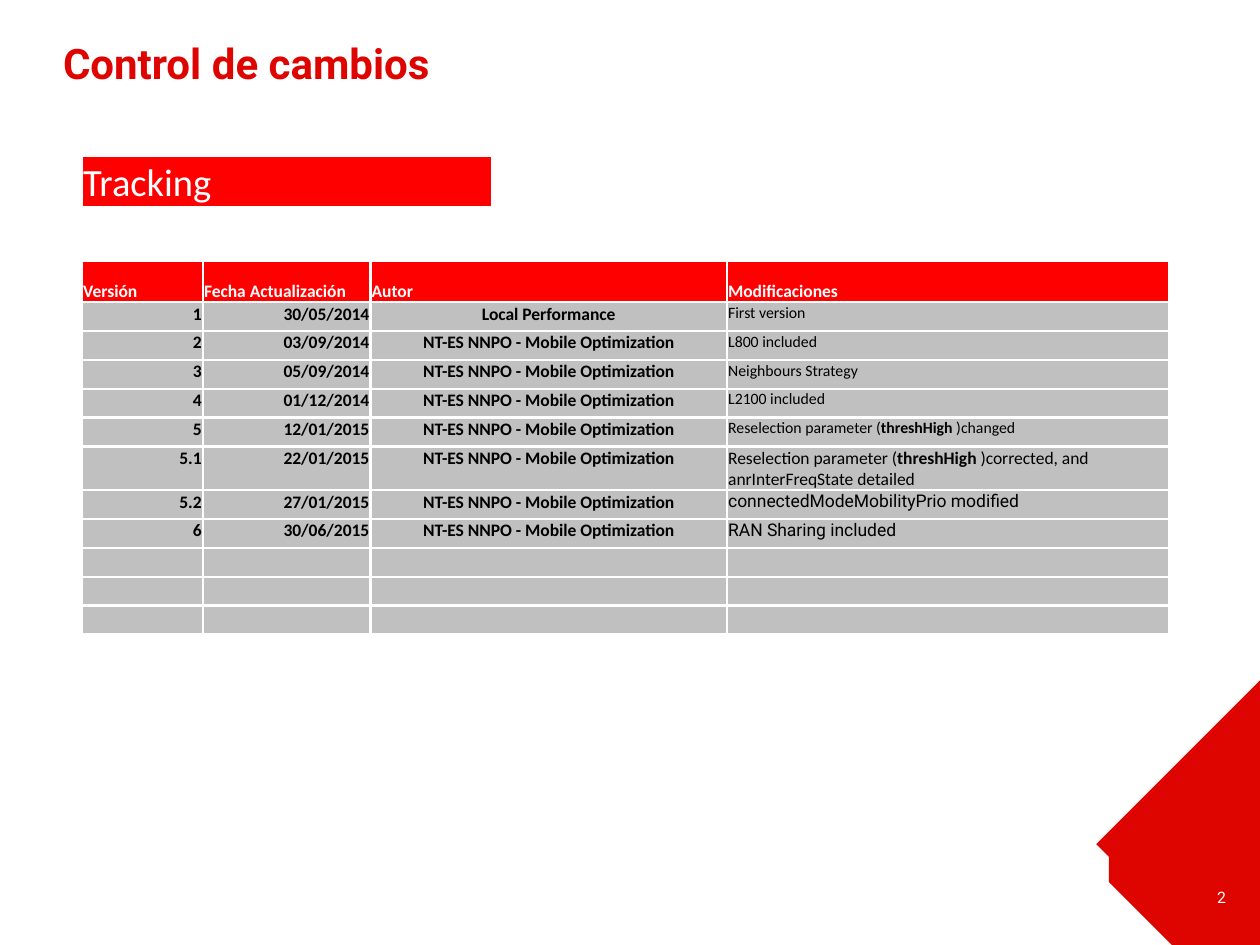
from dataclasses import dataclass

from lxml import etree
from pptx import Presentation
from pptx.dml.color import RGBColor
from pptx.enum.text import MSO_ANCHOR, MSO_AUTO_SIZE, PP_ALIGN
from pptx.oxml.ns import qn
from pptx.util import Inches, Pt

LEFT, CENTER, RIGHT = PP_ALIGN.LEFT, PP_ALIGN.CENTER, PP_ALIGN.RIGHT
TOP, MIDDLE, BOTTOM = MSO_ANCHOR.TOP, MSO_ANCHOR.MIDDLE, MSO_ANCHOR.BOTTOM
NO_AUTOFIT = MSO_AUTO_SIZE.NONE
TITLE_ONLY = 5


@dataclass(frozen=True)
class Theme:
    brand: str = "DE0400"
    header: str = "FF0000"
    row: str = "C0C0C0"
    white: str = "FFFFFF"
    black: str = "000000"
    heading_font: str = "Roboto"
    body_font: str = "Calibri"
    title_size: float = 24
    section_size: float = 22
    body_size: float = 10
    small_size: float = 9
    empty_size: float = 8
    border: float = 1.5


def grid(units):
    """Length in grid units: the slide is 100 columns by 75 rows."""
    return Inches(units / 10)


def bezier(start, first, second, end, steps=16):
    """Points along a cubic curve, without its start."""
    for step in range(1, steps + 1):
        t = step / steps
        weights = ((1 - t) ** 3, 3 * t * (1 - t) ** 2, 3 * t * t * (1 - t), t ** 3)
        yield tuple(sum(weight * point[axis] for weight, point
                        in zip(weights, (start, first, second, end)))
                    for axis in (0, 1))


class SlideBuilder:
    def __init__(self, slide, theme):
        self.slide = slide
        self.theme = theme

    def add_text(self, paragraph, pieces, size, color, font, align=LEFT):
        """Fill a paragraph with (text, bold) pieces."""
        paragraph.alignment = align
        for text, bold in pieces:
            run = paragraph.add_run()
            run.text = text
            run.font.name, run.font.size, run.font.bold = font, Pt(size), bold
            run.font.color.rgb = RGBColor.from_string(color)

    def frame(self, shape, box, margins, anchor):
        shape.left, shape.top, shape.width, shape.height = map(grid, box)
        frame = shape.text_frame
        frame.word_wrap = True
        frame.auto_size = NO_AUTOFIT
        frame.vertical_anchor = anchor
        (frame.margin_left, frame.margin_top,
         frame.margin_right, frame.margin_bottom) = map(grid, margins)
        return frame.paragraphs[0]

    def title(self, text, box):
        paragraph = self.frame(self.slide.shapes.title, box, (0, 0, 0, 0), TOP)
        self.add_text(paragraph, [(text, True)], self.theme.title_size,
                      self.theme.brand, self.theme.heading_font)

    def page_number(self, text, box):
        shape = self.slide.shapes.add_textbox(0, 0, 0, 0)
        paragraph = self.frame(shape, box, (1, 0.5, 0, 0.5), MIDDLE)
        self.add_text(paragraph, [(text, False)], self.theme.small_size,
                      self.theme.white, self.theme.heading_font, RIGHT)

    def outline(self, points, color):
        builder = self.slide.shapes.build_freeform(
            *points[0], scale=float(grid(1)))
        builder.add_line_segments(points[1:], close=True)
        shape = builder.convert_to_shape()
        shape.shadow.inherit = False
        shape.fill.solid()
        shape.fill.fore_color.rgb = RGBColor.from_string(color)
        shape.line.fill.background()

    def table(self, left, top, columns, rows):
        table = self.slide.shapes.add_table(
            len(rows), len(columns), grid(left), grid(top),
            grid(sum(columns)), grid(sum(rows))).table
        table.first_row = table.horz_banding = False
        for column, width in zip(table.columns, columns):
            column.width = grid(width)
        for row, height in zip(table.rows, rows):
            row.height = grid(height)
        return table

    def cell(self, cell, fill, anchor=TOP, bordered=True):
        cell.fill.solid()
        cell.fill.fore_color.rgb = RGBColor.from_string(fill)
        cell.vertical_anchor = anchor
        cell.margin_left = cell.margin_right = cell.margin_top = grid(0.1)
        cell.margin_bottom = 0
        paragraph = cell.text_frame.paragraphs[0]
        # Small end mark, so that empty cells keep the row height
        etree.SubElement(paragraph._p, qn("a:endParaRPr"),
                         sz=str(int(self.theme.empty_size * 100)))
        if bordered:
            self.borders(cell)
        return paragraph

    def borders(self, cell):
        properties = cell._tc.get_or_add_tcPr()
        for index, side in enumerate(("lnL", "lnR", "lnT", "lnB")):
            line = etree.Element(qn(f"a:{side}"), w=str(Pt(self.theme.border)))
            fill = etree.SubElement(line, qn("a:solidFill"))
            etree.SubElement(fill, qn("a:srgbClr"), val=self.theme.white)
            properties.insert(index, line)


def change_log(builder, entries):
    theme = builder.theme
    columns = [9.6, 13.3, 9.6, 18.7, 0.5, 9.6, 9.6, 15.3]
    header_row, empty_rows = 3, 3
    body_rows = len(entries) + empty_rows
    table = builder.table(6.5, 12.4, columns, [4, 2.1, 2.2, 3.3] + [2.29] * body_rows)

    # Section band above the log
    table.cell(0, 0).merge(table.cell(0, 2))
    for row in range(header_row):
        for column in range(len(columns)):
            band = row == 0 and column < 3
            paragraph = builder.cell(table.cell(row, column),
                                     theme.header if band else theme.white,
                                     BOTTOM, bordered=False)
            if (row, column) == (0, 0):
                builder.add_text(paragraph, [("Tracking", False)], theme.section_size,
                                 theme.white, theme.body_font)

    # Merged columns, fills and borders of the log
    paragraphs = []
    for row in range(header_row, header_row + 1 + body_rows):
        table.cell(row, 2).merge(table.cell(row, 3))
        table.cell(row, 4).merge(table.cell(row, 7))
        is_header = row == header_row
        line = [builder.cell(table.cell(row, column),
                             theme.header if is_header else theme.row,
                             BOTTOM if is_header else TOP)
                for column in range(len(columns))]
        paragraphs.append([line[column] for column in (0, 1, 2, 4)])

    # Header and entries
    headings = ("Versión", "Fecha Actualización", "Autor", "Modificaciones")
    for paragraph, heading in zip(paragraphs[0], headings):
        builder.add_text(paragraph, [(heading, True)], theme.body_size,
                         theme.white, theme.body_font)
    for line, (version, date, author, change, size, font) in zip(paragraphs[1:], entries):
        for paragraph, text, align in zip(line, (version, date, author),
                                          (RIGHT, RIGHT, CENTER)):
            builder.add_text(paragraph, [(text, True)], theme.body_size,
                             theme.black, theme.body_font, align)
        builder.add_text(line[3], change, size, theme.black, font)


def main():
    theme = Theme()
    presentation = Presentation()
    presentation.slide_width, presentation.slide_height = grid(100), grid(75)
    slide = presentation.slides.add_slide(presentation.slide_layouts[TITLE_ONLY])
    builder = SlideBuilder(slide, theme)

    # Corner ornament with the page number
    notch, shoulder = (87.9, 70.3), (88, 65.7)
    curve = bezier(notch, (88, 68), (86.8, 67.2), shoulder)
    builder.outline([(100, 53.8), (100, 75), (92.6, 75), notch, *curve], theme.brand)
    builder.page_number("2", (86.7, 69.2, 10.6, 4))

    builder.title("Control de cambios", (5, 3, 80.4, 11.4))

    # Change log
    team = "NT-ES NNPO - Mobile Optimization"
    small = (theme.small_size, theme.body_font)
    body = (theme.body_size, theme.body_font)
    heading = (theme.body_size, theme.heading_font)

    def reselection(ending):
        return [("Reselection parameter (", False), ("threshHigh", True), (ending, False)]

    change_log(builder, [
        ("1", "30/05/2014", "Local Performance", [("First version", False)], *small),
        ("2", "03/09/2014", team, [("L800 included", False)], *small),
        ("3", "05/09/2014", team, [("Neighbours Strategy", False)], *small),
        ("4", "01/12/2014", team, [("L2100 included", False)], *small),
        ("5", "12/01/2015", team, reselection(" )changed"), *small),
        ("5.1", "22/01/2015", team,
         reselection(" )corrected, and anrInterFreqState detailed"), *body),
        ("5.2", "27/01/2015", team,
         [("connectedModeMobilityPrio modified", False)], *heading),
        ("6", "30/06/2015", team, [("RAN Sharing included", False)], *heading),
    ])
    presentation.save("out.pptx")


if __name__ == "__main__":
    main()
